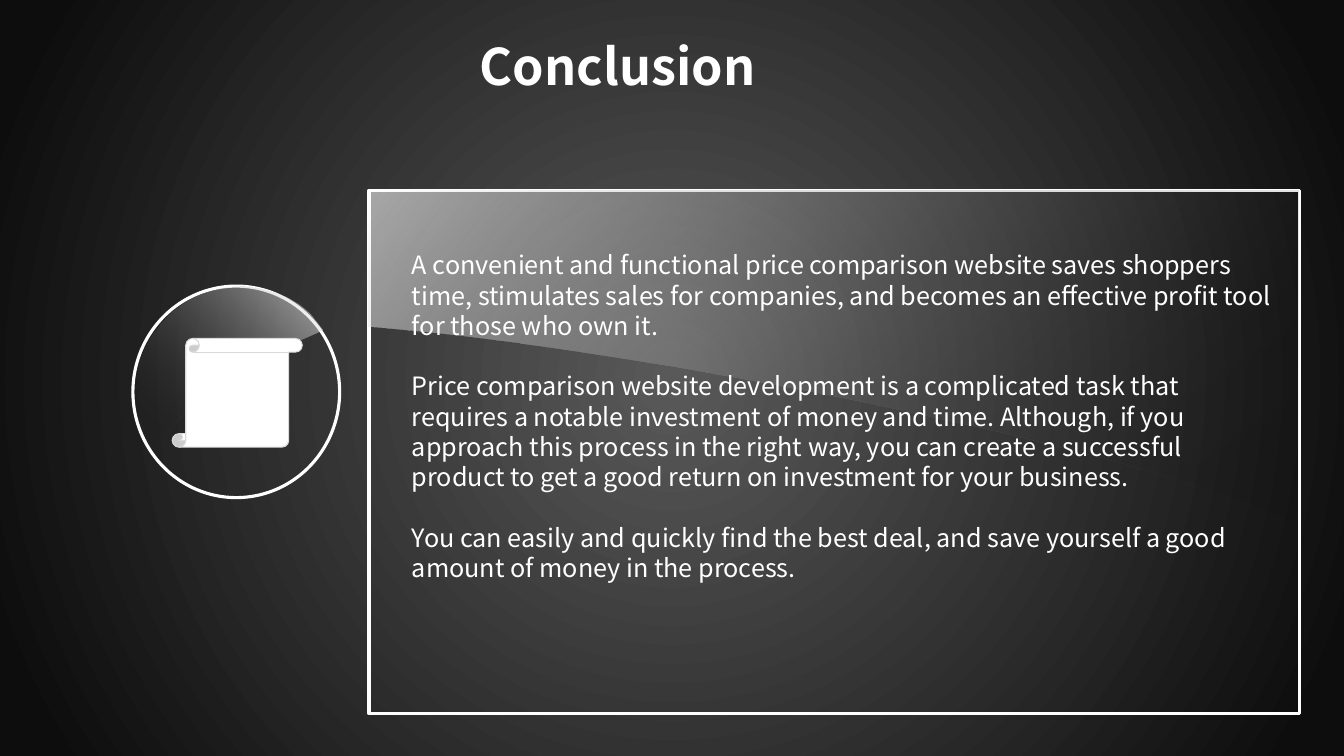
from dataclasses import dataclass

from lxml import etree
from pptx import Presentation
from pptx.dml.color import RGBColor
from pptx.enum import shapes, text
from pptx.oxml import ns
from pptx.util import Cm, Pt


@dataclass(frozen=True)
class Theme:
    """Colours, font and type sizes of the slide."""
    font: str = "Noto Sans CJK SC"
    white: str = "FFFFFF"
    black: str = "000000"
    edge: str = "D9D9D9"
    bg_centre: str = "595959"
    bg_rim: str = "0D0D0D"
    title: float = 36
    body: float = 18
    leading: float = 21.6
    outline: float = 2.25
    hairline: float = 0.75


T = Theme()

BODY = [
    "A convenient and functional price comparison website saves shoppers time, "
    "stimulates sales for companies, and becomes an effective profit tool for those who own it.",
    "Price comparison website development is a complicated task that requires a notable "
    "investment of money and time. Although, if you approach this process in the right way, "
    "you can create a successful product to get a good return on investment for your business.",
    "You can easily and quickly find the best deal, and save yourself a good amount of money "
    "in the process.",
]

BADGE_GLOSS = [
    [(6.05, 7.21)],
    [(6.76, 7.21), (7.42, 7.49), (7.87, 7.98)],
    [(8.13, 8.31)],
    [(7.47, 8.61)],
    [(5.99, 9.32), (4.88, 10.06), (4.04, 11.05)],
    [(3.84, 11.28)],
    [(3.76, 11.15)],
    [(3.56, 10.77), (3.43, 10.34), (3.43, 9.88)],
    [(3.43, 8.41), (4.6, 7.21), (6.05, 7.21)],
]

PANEL_GLOSS = [
    [(9.3, 4.8)],
    [(32.72, 4.8)],
    [(32.72, 13.26)],
    [(32.51, 13.13)],
    [(30.78, 12.22), (25.53, 10.8), (19.23, 9.63)],
    [(15.37, 8.92), (11.86, 8.43), (9.3, 8.23)],
]


def set_gradient(fill, parent, stops, angle=None):
    """Fill with (position, colour, opacity) stops, radial when no angle is given."""
    fill.solid()
    grad = etree.Element(ns.qn("a:gradFill"), rotWithShape="1")
    gs_lst = etree.SubElement(grad, ns.qn("a:gsLst"))
    for pos, colour, opacity in stops:
        gs = etree.SubElement(gs_lst, ns.qn("a:gs"), pos=str(pos * 1000))
        clr = etree.SubElement(gs, ns.qn("a:srgbClr"), val=colour)
        if opacity < 100:
            etree.SubElement(clr, ns.qn("a:alpha"), val=str(opacity * 1000))
    if angle is None:
        radial = etree.SubElement(grad, ns.qn("a:path"), path="circle")
        etree.SubElement(radial, ns.qn("a:fillToRect"), {side: "50000" for side in "ltrb"})
    else:
        etree.SubElement(grad, ns.qn("a:lin"), ang=str(angle * 60000), scaled="0")
    solid = parent.find(ns.qn("a:solidFill"))
    parent.replace(solid, grad)


def add_outline(group, kind, box, colour, width, fill=None):
    """Add a preset shape with an outline and an optional solid fill."""
    sp = group.shapes.add_shape(kind, *map(Cm, box))
    sp.shadow.inherit = False
    sp.line.color.rgb = RGBColor.from_string(colour)
    sp.line.width = Pt(width)
    if fill:
        sp.fill.solid()
        sp.fill.fore_color.rgb = RGBColor.from_string(fill)
    else:
        sp.fill.background()
    return sp


def flatten(segments, steps=16):
    """Turn lines and cubic curves into a list of points."""
    points = list(segments[0])
    for seg in segments[1:]:
        if len(seg) == 1:
            points += seg
            continue
        ctrl = [points[-1], *seg]
        for i in range(1, steps + 1):
            t = i / steps
            weights = ((1 - t) ** 3, 3 * t * (1 - t) ** 2, 3 * t * t * (1 - t), t ** 3)
            points.append(tuple(sum(w * c[axis] for w, c in zip(weights, ctrl))
                                for axis in (0, 1)))
    return [(Cm(x), Cm(y)) for x, y in points]


def add_gloss(group, segments, angle):
    """Add a translucent highlight that brightens along the angle."""
    start, *rest = flatten(segments)
    builder = group.shapes.build_freeform(*start)
    builder.add_line_segments(rest, close=True)
    sp = builder.convert_to_shape()
    sp.shadow.inherit = False
    sp.line.fill.background()
    stops = [(0, T.black, 0), (100, T.white, 58)]
    set_gradient(sp.fill, sp.element.spPr, stops, angle)


def write(sp, box, paragraphs, size, bold=False, leading=None):
    """Place a text shape and write its paragraphs."""
    sp.left, sp.top, sp.width, sp.height = map(Cm, box)
    tf = sp.text_frame
    tf.word_wrap = True
    tf.auto_size = text.MSO_AUTO_SIZE.NONE
    tf.vertical_anchor = text.MSO_ANCHOR.MIDDLE if bold else text.MSO_ANCHOR.TOP
    for i, line in enumerate(paragraphs):
        p = tf.add_paragraph() if i else tf.paragraphs[0]
        p.alignment = text.PP_ALIGN.LEFT
        if leading:
            p.line_spacing = Pt(leading)
        p.space_before = Pt(leading if i else 0)
        r = p.add_run()
        r.text = line
        r.font.name = T.font
        r.font.size = Pt(size)
        r.font.bold = bold
        r.font.color.rgb = RGBColor.from_string(T.white)


def add_badge(s):
    """Add the glossy circle with a scroll in it."""
    badge = s.shapes.add_group_shape()
    add_outline(badge, shapes.MSO_SHAPE.OVAL, (3.35, 7.21, 5.21, 5.33), T.white, T.outline)
    add_gloss(badge, BADGE_GLOSS, 315)
    add_outline(badge, shapes.MSO_SHAPE.VERTICAL_SCROLL, (4.34, 8.53, 3.28, 2.74),
                T.edge, T.hairline, T.white)


def add_panel(s):
    """Add the glossy frame behind the body text."""
    panel = s.shapes.add_group_shape()
    add_outline(panel, shapes.MSO_SHAPE.RECTANGLE, (9.3, 4.8, 23.44, 13.18), T.white, T.outline)
    add_gloss(panel, PANEL_GLOSS, 220)


def main():
    """Build and save the conclusion slide."""
    prs = Presentation()
    prs.slide_width, prs.slide_height = Cm(33.87), Cm(19.05)
    s = prs.slides.add_slide(prs.slide_layouts[5])
    fill = s.background.fill
    fill.solid()
    bg = s.element.find(".//" + ns.qn("p:bgPr"))
    set_gradient(fill, bg, [(0, T.bg_centre, 100), (94, T.bg_rim, 100)])
    write(s.shapes.title, (11.84, 0.74, 7.77, 1.8), ["Conclusion"], T.title, bold=True)
    add_badge(s)
    add_panel(s)
    body_box = (10.13, 6.17, 22.2, 8.71)
    write(s.shapes.add_textbox(*map(Cm, body_box)), body_box, BODY, T.body, leading=T.leading)
    prs.save("out.pptx")


if __name__ == "__main__":
    main()
